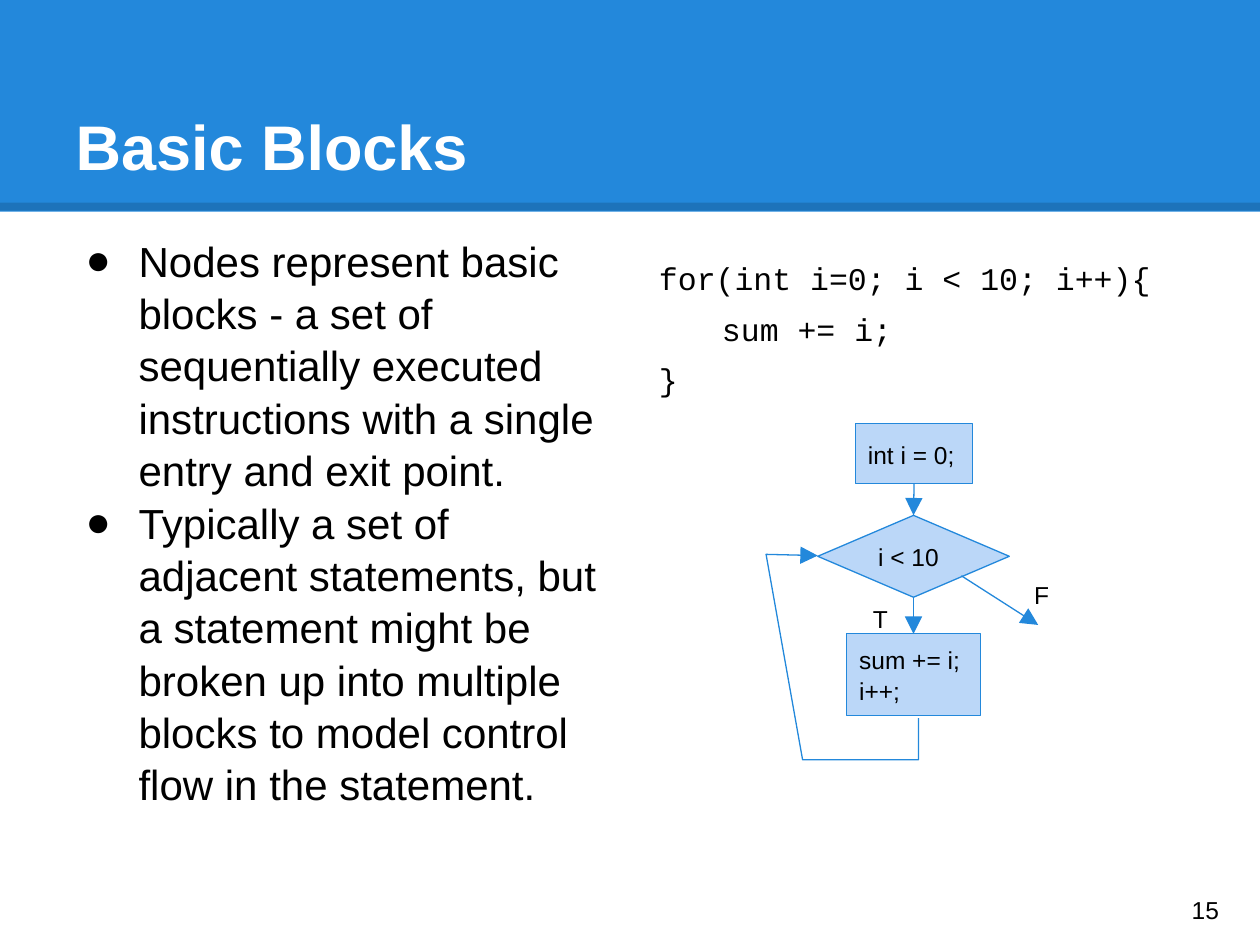
from lxml.etree import SubElement
from pptx import Presentation
from pptx.dml.color import RGBColor
from pptx.enum.shapes import MSO_CONNECTOR as Connector, MSO_SHAPE as Shape
from pptx.enum.text import MSO_ANCHOR as Anchor, MSO_AUTO_SIZE as AutoSize, PP_ALIGN as Align
from pptx.oxml.ns import qn
from pptx.util import Inches, Pt

BLUE, PALE, BLACK, WHITE = "2388DB", "BBD7F8", "000000", "FFFFFF"


def color(value):
    return RGBColor.from_string(value)


def add_bullet(para):
    props = para._p.get_or_add_pPr()
    props.set("marL", str(Inches(0.5)))
    props.set("indent", str(Inches(-0.42)))
    fill = SubElement(props, qn("a:buClr"))
    SubElement(fill, qn("a:srgbClr"), val=BLACK)
    SubElement(props, qn("a:buChar"), char="●")


def remove_bullet(para, tab=None):
    props = para._p.get_or_add_pPr()
    props.set("marL", "0")
    props.set("indent", "0")
    SubElement(props, qn("a:buNone"))
    if tab:
        tabs = SubElement(props, qn("a:tabLst"))
        SubElement(tabs, qn("a:tab"), pos=str(Inches(tab)), algn="l")


def write(box, lines, size=14, font="Arial", ink=BLACK, bold=False, anchor=Anchor.TOP,
          bullets=False, tab=None, gap=0, spacing=1.06):
    frame = box.text_frame
    frame.word_wrap = True
    frame.auto_size = AutoSize.NONE
    frame.vertical_anchor = anchor
    frame.margin_left = frame.margin_right = Inches(0.1)
    frame.margin_top = frame.margin_bottom = Inches(0.1)
    for number, line in enumerate(lines):
        para = frame.add_paragraph() if number else frame.paragraphs[0]
        para.alignment = Align.LEFT
        para.line_spacing = spacing
        para.space_before = Pt(gap if number else 0)
        if bullets:
            add_bullet(para)
        else:
            remove_bullet(para, tab)
        span = para.add_run()
        span.text = line
        span.font.name, span.font.size, span.font.bold = font, Pt(size), bold
        span.font.color.rgb = color(ink)


class FlowPage:
    """Holds the current slide and the style of its flowchart."""

    def __init__(self, page, line_width=0.75):
        self.page = page
        self.shapes = page.shapes
        self.line_width = line_width

    def placeholder(self, index, area, lines, **style):
        box = self.page.placeholders[index]
        box.left, box.top, box.width, box.height = map(Inches, area)
        write(box, lines, **style)

    def label(self, area, text, **style):
        write(self.shapes.add_textbox(*map(Inches, area)), [text], **style)

    def band(self, area):
        box = self.shapes.add_shape(Shape.RECTANGLE, *map(Inches, area))
        box.shadow.inherit = False
        box.fill.solid()
        box.fill.fore_color.rgb = color(BLUE)
        box.line.fill.background()

    def node(self, kind, area, lines):
        box = self.shapes.add_shape(kind, *map(Inches, area))
        box.shadow.inherit = False
        box.fill.solid()
        box.fill.fore_color.rgb = color(PALE)
        self.outline(box)
        write(box, lines, anchor=Anchor.MIDDLE)
        return box

    def outline(self, item, arrow=False):
        item.line.color.rgb = color(BLUE)
        item.line.width = Pt(self.line_width)
        if arrow:
            SubElement(item.line._get_or_add_ln(), qn("a:tailEnd"),
                       type="triangle", w="lg", len="lg")

    def line(self, start, end):
        link = self.shapes.add_connector(Connector.STRAIGHT, *map(Inches, start + end))
        SubElement(link._element.spPr, qn("a:effectLst"))
        return link

    def rule(self, start, end, width, opacity):
        link = self.line(start, end)
        link.line.color.rgb = color(BLACK)
        link.line.width = Pt(width)
        ink = link._element.spPr.find(".//" + qn("a:srgbClr"))
        SubElement(ink, qn("a:alpha"), val=str(opacity * 1000))

    def arrow(self, start, end):
        link = self.line(start, end)
        self.outline(link, arrow=True)
        return link

    def arrow_down(self, upper, lower):
        link = self.arrow((0, 0), (1, 1))
        link.begin_connect(upper, 2)
        link.end_connect(lower, 0)

    def path_arrow(self, points):
        corners = [(Inches(x), Inches(y)) for x, y in points]
        builder = self.shapes.build_freeform(*corners[0])
        builder.add_line_segments(corners[1:], close=False)
        route = builder.convert_to_shape()
        route.shadow.inherit = False
        route.fill.background()
        self.outline(route, arrow=True)


def main():
    deck = Presentation()
    deck.slide_width, deck.slide_height = Inches(10), Inches(7.5)
    flow = FlowPage(deck.slides.add_slide(deck.slide_layouts[3]))

    flow.band((0, 0, 10, 1.68))
    flow.rule((0, 1.64), (10, 1.64), width=4.5, opacity=15)
    # The header band goes behind the placeholders
    tree = flow.shapes._spTree
    for position, item in enumerate(list(flow.shapes)[-2:]):
        tree.insert(2 + position, item._element)

    flow.placeholder(0, (0.5, 0.3, 9, 1.25), ["Basic Blocks"], size=36, ink=WHITE,
                     bold=True, anchor=Anchor.BOTTOM, spacing=1)
    flow.placeholder(1, (0.5, 1.75, 4.37, 5.43), [
        "Nodes represent basic blocks - a set of sequentially executed instructions "
        "with a single entry and exit point.",
        "Typically a set of adjacent statements, but a statement might be broken up "
        "into multiple blocks to model control flow in the statement.",
    ], size=24, bullets=True, spacing=1.04)
    flow.placeholder(2, (5.13, 1.94, 4.37, 1.51),
                     ["for(int i=0; i < 10; i++){", "\tsum += i;", "}"],
                     size=18, font="Courier New", tab=1, gap=6)

    start = flow.node(Shape.RECTANGLE, (6.79, 3.36, 0.93, 0.48), ["int i = 0;"])
    test = flow.node(Shape.DIAMOND, (6.49, 4.09, 1.52, 0.65), ["i < 10"])
    body = flow.node(Shape.RECTANGLE, (6.72, 5.03, 1.06, 0.65), ["sum += i;", "i++;"])
    flow.arrow_down(start, test)
    flow.arrow_down(test, body)
    flow.arrow((7.63, 4.57), (8.24, 4.96))
    flow.path_arrow([(7.29, 5.7), (7.29, 6.03), (6.37, 6.03), (6.08, 4.4), (6.49, 4.41)])

    flow.label((8.11, 4.49, 0.49, 0.25), "F")
    flow.label((6.83, 4.68, 0.3, 0.3), "T")
    flow.label((9.36, 6.93, 0.6, 0.57), "15", anchor=Anchor.MIDDLE)
    deck.save("out.pptx")


if __name__ == "__main__":
    main()
